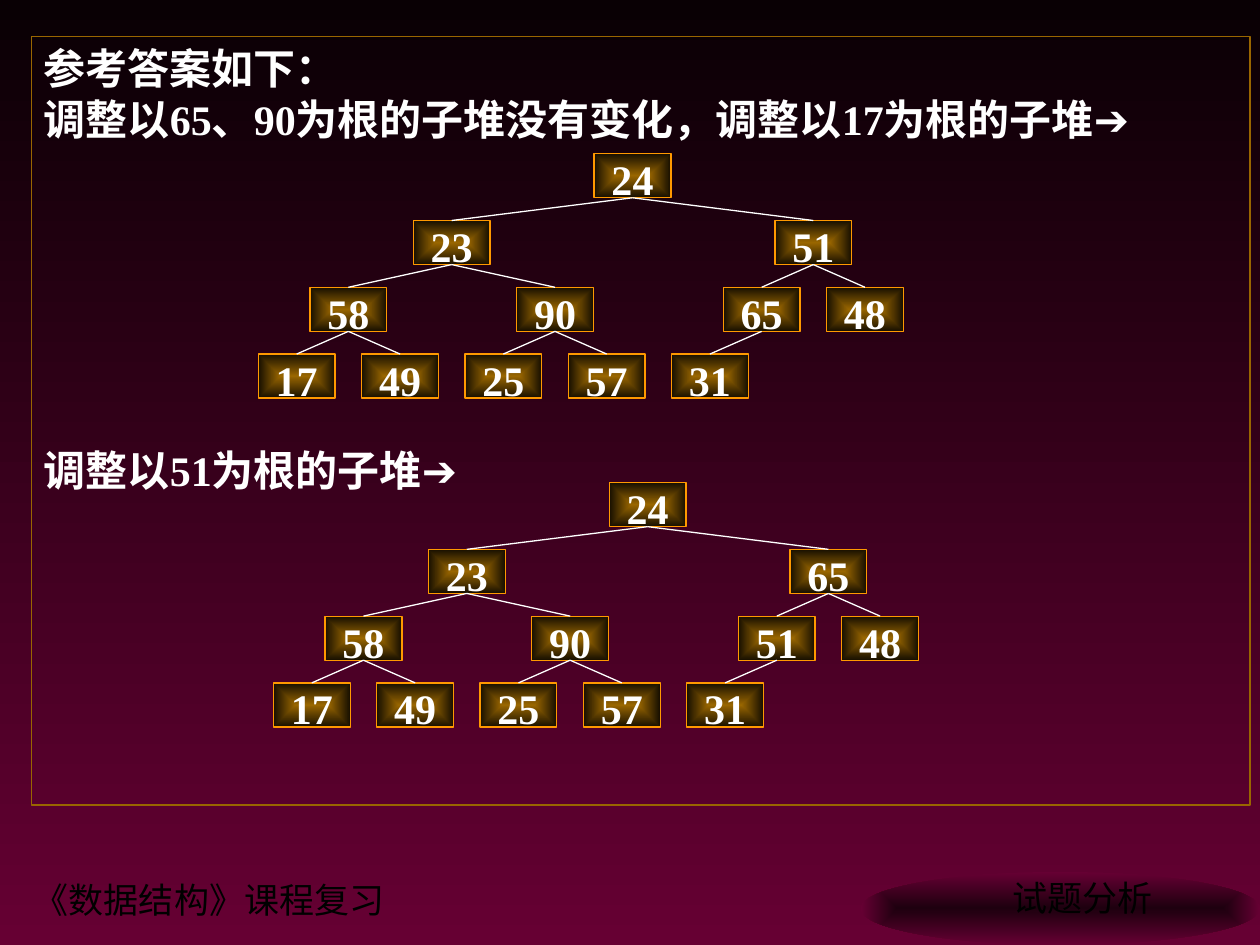
import pptx
import pptx.dml.color
import pptx.enum.shapes
import pptx.enum.text
import pptx.oxml
import pptx.oxml.ns
import pptx.util

Inches = pptx.util.Inches
Pt = pptx.util.Pt
SHAPE = pptx.enum.shapes.MSO_SHAPE
ALIGN = pptx.enum.text.PP_ALIGN
ANCHOR = pptx.enum.text.MSO_ANCHOR

SERIF = "Times New Roman"
WHITE = "FFFFFF"
NODE_WIDTH, NODE_HEIGHT = 0.61, 0.35
COLUMN_STEP, ROW_STEP = 0.41, 0.53
# Heap order: each parent is centred over its children.
NODE_COLUMNS = [6.5, 3, 10, 1, 5, 9, 11, 0, 2, 4, 6, 8]


def color(hex_string):
    return pptx.dml.color.RGBColor.from_string(hex_string)


def set_gradient(fill, start, end):
    fill.gradient()
    for stop, hex_string in zip(fill.gradient_stops, (start, end)):
        stop.color.rgb = color(hex_string)


def set_radial_gradient(shape, center, edge):
    """Spread a gradient from the centre of the shape to its edges."""
    set_gradient(shape.fill, center, edge)
    linear = shape.element.spPr.find(".//" + pptx.oxml.ns.qn("a:lin"))
    linear.getparent().replace(linear, pptx.oxml.parse_xml(
        f'<a:path {pptx.oxml.ns.nsdecls("a")} path="rect">'
        '<a:fillToRect l="50000" t="50000" r="50000" b="50000"/></a:path>'))


def set_line(shape, hex_string, width):
    shape.line.color.rgb = color(hex_string)
    shape.line.width = Pt(width)


def add_span(para, text, font_name, size, hex_string, bold=False):
    span = para.add_run()
    span.text = text
    span.font.name = font_name
    span.font.size = Pt(size)
    span.font.bold = bold
    span.font.color.rgb = color(hex_string)


def add_footer(slide, text, left, top, width):
    box = slide.shapes.add_textbox(Inches(left), Inches(top), Inches(width), Inches(0.44))
    box.text_frame.word_wrap = True
    add_span(box.text_frame.paragraphs[0], text, SERIF, 20, "000000")


def add_footer_ellipse(slide):
    ellipse = slide.shapes.add_shape(
        SHAPE.OVAL, Inches(6.83), Inches(6.92), Inches(3.17), Inches(0.58))
    ellipse.shadow.inherit = False
    set_radial_gradient(ellipse, "1E000F", "660033")
    ellipse.line.fill.background()


def add_answer(slide):
    frame = slide.shapes.add_shape(
        SHAPE.RECTANGLE, Inches(0.25), Inches(0.29), Inches(9.67), Inches(6.1))
    frame.shadow.inherit = False
    frame.fill.background()
    set_line(frame, "996600", 1)
    text_frame = frame.text_frame
    text_frame.word_wrap = True
    text_frame.vertical_anchor = ANCHOR.TOP
    lines = [
        [("参考答案如下：", "Courier New")],
        [("调整以65、90为根的子堆没有变化，调整以17为根的子堆", SERIF), ("➔", "Arial")],
        [("调整以51为根的子堆", SERIF), ("➔", "Arial")],
    ]
    for index, line in enumerate(lines):
        para = text_frame.add_paragraph() if index else text_frame.paragraphs[0]
        para.alignment = ALIGN.JUSTIFY
        for text, font_name in line:
            add_span(para, text, font_name, 24, WHITE, bold=True)
    para.space_before = Pt(172)  # room for the first tree


def add_node(group, value, left, top):
    node = group.shapes.add_shape(
        SHAPE.RECTANGLE, Inches(left), Inches(top), Inches(NODE_WIDTH), Inches(NODE_HEIGHT))
    node.shadow.inherit = False
    set_radial_gradient(node, "996600", "170F00")
    set_line(node, "FF9900", 0.75)
    text_frame = node.text_frame
    text_frame.margin_left = text_frame.margin_right = 0
    text_frame.margin_top = text_frame.margin_bottom = 0
    text_frame.vertical_anchor = ANCHOR.TOP
    para = text_frame.paragraphs[0]
    para.alignment = ALIGN.CENTER
    add_span(para, str(value), SERIF, 24, WHITE, bold=True)


def add_edge(group, parent, child):
    """Join the bottom of the parent to the top of the child."""
    middle = NODE_WIDTH / 2
    edge = group.shapes.add_connector(
        pptx.enum.shapes.MSO_CONNECTOR.STRAIGHT,
        Inches(parent[0] + middle), Inches(parent[1] + NODE_HEIGHT),
        Inches(child[0] + middle), Inches(child[1]))
    set_line(edge, WHITE, 0.75)
    edge.element.spPr.append(pptx.oxml.parse_xml(
        f'<a:effectLst {pptx.oxml.ns.nsdecls("a")}/>'))


def add_heap(slide, values, left, top):
    group = slide.shapes.add_group_shape()
    places = []
    for index, (value, column) in enumerate(zip(values, NODE_COLUMNS)):
        level = (index + 1).bit_length() - 1
        places.append((left + column * COLUMN_STEP, top + level * ROW_STEP))
        add_node(group, value, *places[-1])
    for index in range(1, len(places)):
        add_edge(group, places[(index - 1) // 2], places[index])


def main():
    deck = pptx.Presentation()
    deck.slide_width, deck.slide_height = Inches(10), Inches(7.5)
    slide = deck.slides.add_slide(deck.slide_layouts[6])
    background = slide.background.fill
    set_gradient(background, "090004", "660033")
    background.gradient_angle = 270

    add_footer(slide, "《数据结构》课程复习", 0.17, 6.92, 7.25)
    add_footer_ellipse(slide)
    add_footer(slide, "试题分析", 7.94, 6.91, 1.6)
    add_answer(slide)
    add_heap(slide, [24, 23, 51, 58, 90, 65, 48, 17, 49, 25, 57, 31], 2.05, 1.22)
    add_heap(slide, [24, 23, 65, 58, 90, 51, 48, 17, 49, 25, 57, 31], 2.17, 3.83)
    deck.save("out.pptx")


if __name__ == "__main__":
    main()
